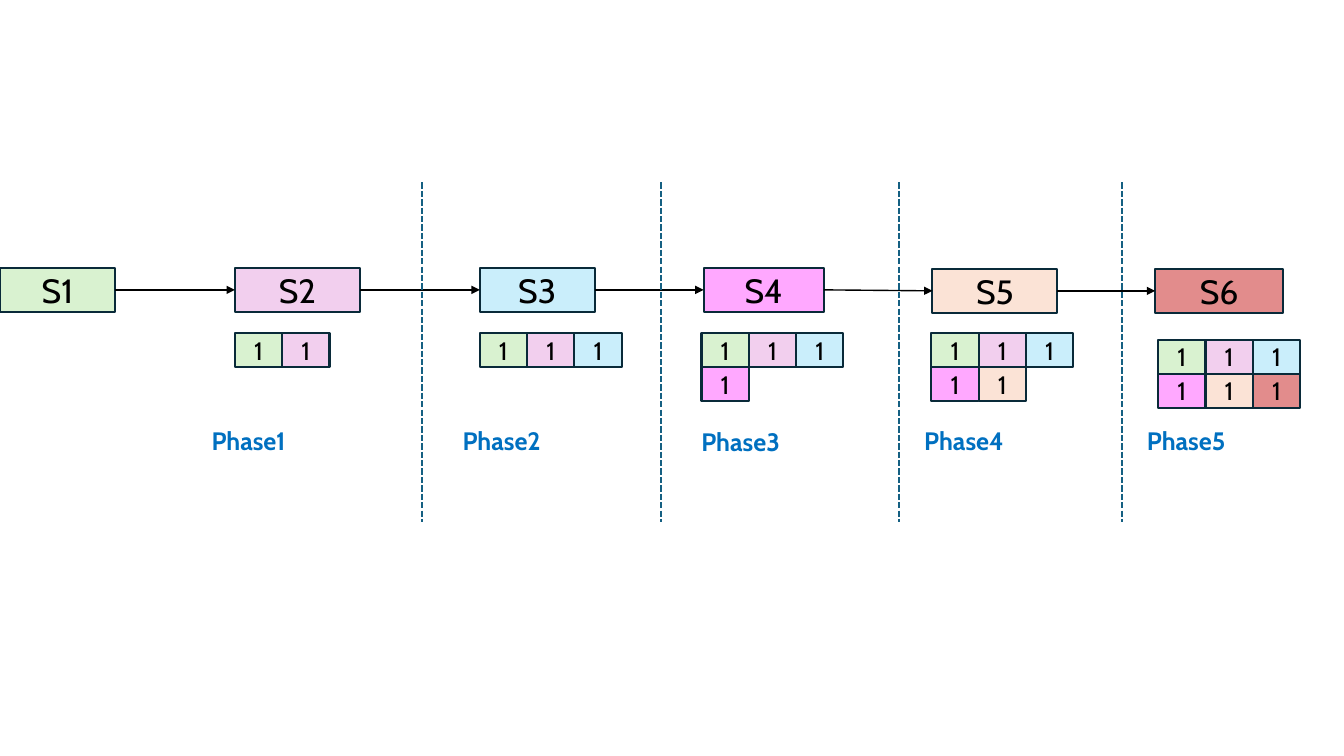
from dataclasses import dataclass

import pptx
import pptx.dml.color
import pptx.enum.dml
import pptx.enum.shapes
import pptx.enum.text
import pptx.oxml.ns
import pptx.util
from lxml import etree

FONT = "Cabin"
COLORS = {
    "S1": "D9F2D0", "S2": "F2CFEE", "S3": "CAEEFB",
    "S4": "FF40FF", "S5": "FBE3D6", "S6": "C00000",
    "edge": "092A39", "ink": "000000", "phase": "0070C0", "split": "156082",
}
ALPHA = {"S4": 45, "S6": 45}  # percent opaque

# Lengths are percent of the slide's width (across) or height (down).
WIDE, HIGH = pptx.util.Inches(13.333), pptx.util.Inches(7.5)
BOX_HIGH = 5.75
CELL_WIDE, CELL_HIGH, PER_ROW = 3.52, 4.5, 3
LABEL_WIDE, LABEL_HIGH = 15.38, 8.93
SPLITS = (31.43, 49.2, 66.9, 83.48)
SPLIT_TOP, SPLIT_END = 24.13, 69.07


@dataclass
class Stage:
    name: str
    left: float
    wide: float
    top: float = 35.47


@dataclass
class Phase:
    """A label and the tray of cells above it."""
    name: str
    left: float
    tray: float
    top: float = 55.6
    tray_top: float = 44.1


STAGES = [
    Stage("S1", 0, 8.55),
    Stage("S2", 17.48, 9.3),
    Stage("S3", 35.7, 8.55),
    Stage("S4", 52.35, 8.95),
    Stage("S5", 69.38, 9.3, 35.6),
    Stage("S6", 85.95, 9.53, 35.6),
]
PHASES = [
    Phase("Phase1", 15, 17.48),
    Phase("Phase2", 33.68, 35.7),
    Phase("Phase3", 51.45, 52.2, top=55.73),
    Phase("Phase4", 68.03, 69.3),
    Phase("Phase5", 84.6, 86.18, tray_top=44.95),
]


def across(share: float) -> int:
    return round(WIDE * share / 100)


def down(share: float) -> int:
    return round(HIGH * share / 100)


def shade(key: str) -> pptx.dml.color.RGBColor:
    return pptx.dml.color.RGBColor.from_string(COLORS[key])


def child(node, tag: str, **attrs: str):
    return etree.SubElement(node, pptx.oxml.ns.qn(tag), **attrs)


def write(shape, text: str, size: int, color: str, bold: bool = False) -> None:
    run = shape.text_frame.paragraphs[0].add_run()
    run.text = text
    run.font.name = FONT
    run.font.size = pptx.util.Pt(size)
    run.font.bold = bold
    run.font.color.rgb = shade(color)


def draw_box(slide, key: str, text: str, size: int,
             left: float, top: float, wide: float, high: float):
    box = slide.shapes.add_shape(
        pptx.enum.shapes.MSO_SHAPE.RECTANGLE,
        across(left), down(top), across(wide), down(high))
    box.shadow.inherit = False
    box.fill.solid()
    box.fill.fore_color.rgb = shade(key)
    if key in ALPHA:
        tint = box.fill._xPr.find(".//" + pptx.oxml.ns.qn("a:srgbClr"))
        child(tint, "a:alpha", val=str(ALPHA[key] * 1000))
    box.line.color.rgb = shade("edge")
    box.line.width = pptx.util.Pt(1.5)
    box.text_frame.vertical_anchor = pptx.enum.text.MSO_ANCHOR.MIDDLE
    box.text_frame.paragraphs[0].alignment = pptx.enum.text.PP_ALIGN.CENTER
    write(box, text, size, "ink")
    return box


def draw_line(slide, color: str, width: float,
              x: float = 0, top: float = 0, end: float = 0):
    """Draw an upright line; its ends may be joined to shapes later."""
    line = slide.shapes.add_connector(
        pptx.enum.shapes.MSO_CONNECTOR.STRAIGHT,
        across(x), down(top), across(x), down(end))
    line.line.color.rgb = shade(color)
    line.line.width = pptx.util.Pt(width)
    child(line._element.spPr, "a:effectLst")
    return line


def draw_link(slide, start, goal) -> None:
    link = draw_line(slide, "ink", 1)
    link.begin_connect(start, 3)
    link.end_connect(goal, 1)
    child(link.line._get_or_add_ln(), "a:tailEnd", type="triangle")


def draw_phase(slide, phase: Phase, count: int) -> None:
    for i, stage in enumerate(STAGES[:count]):
        row, col = divmod(i, PER_ROW)
        draw_box(slide, stage.name, "1", 18,
                 phase.tray + col * CELL_WIDE,
                 phase.tray_top + row * CELL_HIGH, CELL_WIDE, CELL_HIGH)
    label = slide.shapes.add_textbox(
        across(phase.left), down(phase.top),
        across(LABEL_WIDE), down(LABEL_HIGH))
    label.text_frame.word_wrap = True
    write(label, phase.name, 18, "phase", bold=True)


def main() -> None:
    deck = pptx.Presentation()
    deck.slide_width, deck.slide_height = WIDE, HIGH
    slide = deck.slides.add_slide(deck.slide_layouts[6])
    boxes = [draw_box(slide, s.name, s.name, 24, s.left, s.top, s.wide, BOX_HIGH)
             for s in STAGES]
    for start, goal in zip(boxes, boxes[1:]):
        draw_link(slide, start, goal)
    for count, phase in enumerate(PHASES, start=2):
        draw_phase(slide, phase, count)
    for x in SPLITS:
        split = draw_line(slide, "split", 1.5, x, SPLIT_TOP, SPLIT_END)
        split.line.dash_style = pptx.enum.dml.MSO_LINE.SQUARE_DOT
    deck.save("out.pptx")


if __name__ == "__main__":
    main()
